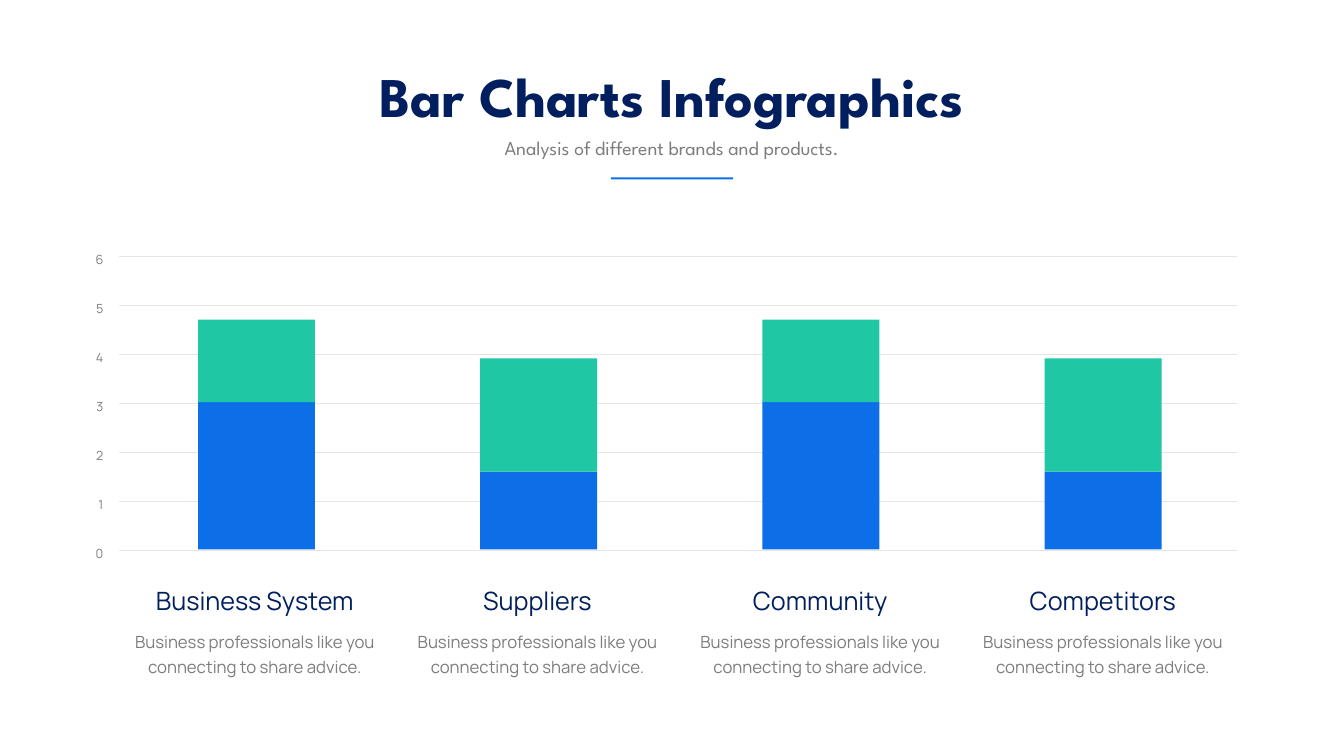
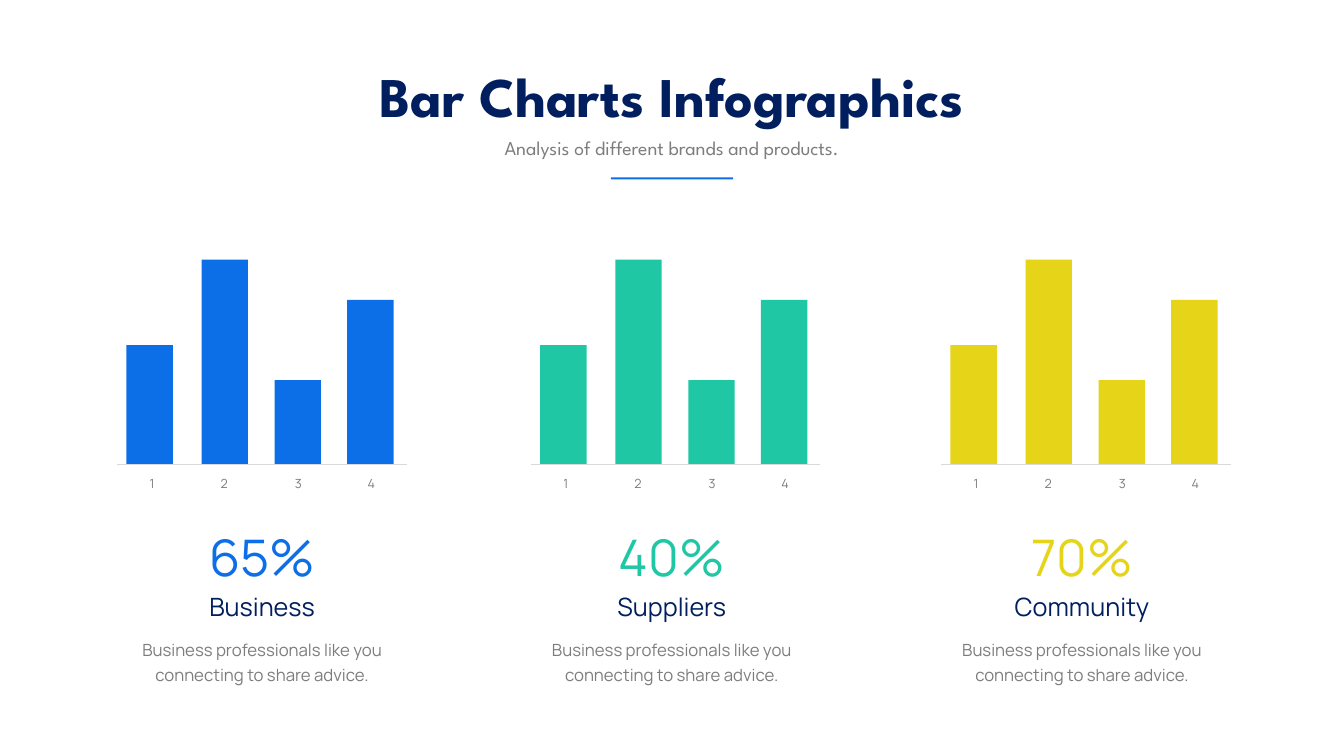
import pptx
import pptx.dml.color
import pptx.enum.shapes
import pptx.enum.text
import pptx.oxml.ns
import pptx.util
from lxml import etree
from pptx.util import Inches

COLORS = {
    "navy": "011F5E",
    "gray": "7E7C7F",
    "blue": "0D6FE8",
    "green": "1FC7A4",
    "yellow": "E5D418",
    "grid": "E5E5E5",
    "axis": "D9D9D9",
    "white": "FFFFFF",
}
TITLE_FONT = "League Spartan"
BODY_FONT = "Manrope"
ADVICE = "Business professionals like you connecting to share advice."


def rgb(color):
    """Return the named palette colour."""
    return pptx.dml.color.RGBColor.from_string(COLORS[color])


def add_text(slide, text, box, size, color="gray", font=BODY_FONT, bold=False,
             align="CENTER", leading=None, wrap=True):
    """Write one paragraph in a box given as left, top, width, height in inches."""
    frame = slide.shapes.add_textbox(*map(Inches, box)).text_frame
    frame.word_wrap = wrap
    frame.auto_size = pptx.enum.text.MSO_AUTO_SIZE.SHAPE_TO_FIT_TEXT
    paragraph = frame.paragraphs[0]
    paragraph.alignment = getattr(pptx.enum.text.PP_ALIGN, align)
    if leading:
        paragraph.line_spacing = pptx.util.Pt(leading)
    run = paragraph.add_run()
    run.text = text
    run.font.size = pptx.util.Pt(size)
    run.font.name = font
    run.font.bold = bold
    run.font.color.rgb = rgb(color)


def add_bar(slide, box, color):
    """Draw a plain filled rectangle."""
    bar = slide.shapes.add_shape(pptx.enum.shapes.MSO_SHAPE.RECTANGLE, *map(Inches, box))
    bar.shadow.inherit = False
    bar.fill.solid()
    bar.fill.fore_color.rgb = rgb(color)
    bar.line.fill.background()


def add_rule(slide, left, top, width, color, weight):
    """Draw a horizontal line."""
    rule = slide.shapes.add_connector(
        pptx.enum.shapes.MSO_CONNECTOR.STRAIGHT,
        Inches(left), Inches(top), Inches(left + width), Inches(top))
    rule.line.color.rgb = rgb(color)
    rule.line.width = pptx.util.Pt(weight)
    etree.SubElement(rule._element.spPr, pptx.oxml.ns.qn("a:effectLst"))


def add_header(slide, left=6.92, top=1.17, width=12.82):
    """Place the title, subtitle and accent bar shared by the slides."""
    center = left + width / 2
    add_text(slide, "Bar Charts Infographics", (left, top, width, 1.45), 80,
             color="navy", font=TITLE_FONT, bold=True, wrap=False)
    add_text(slide, "Analysis of different brands and products.",
             (center - 4.78, top + 1.48, 9.56, 0.57), 28, font=TITLE_FONT)
    add_bar(slide, (center - 1.21, top + 2.35, 2.43, 0.04), "blue")


def add_scale(slide, left, top, width, steps=6, gap=0.97):
    """Draw the gridlines with their numbers, highest first."""
    for row in range(steps + 1):
        add_rule(slide, left, top + row * gap, width, "grid", 0.5)
        add_text(slide, str(steps - row), (left - 1.33, top - 0.33 + row * gap, 1.12, 0.56),
                 18, align="RIGHT", leading=35.6)


def add_stack(slide, left, base, heights, width=2.32):
    """Stack a blue and a green bar upwards from the base."""
    for height, color in zip(heights, ("blue", "green")):
        base -= height
        add_bar(slide, (left, base, width, height), color)


def add_caption(slide, name, left, top, width, name_width, advice_top, leading):
    """Write a category name with its description below."""
    add_text(slide, name, (left + (width - name_width) / 2, top, name_width, 0.71),
             36, color="navy")
    add_text(slide, ADVICE, (left, top + advice_top, width, 1.1), 24, leading=leading)


def add_mini_chart(slide, left, top, color, width=5.74, height=4.06):
    """Draw four numbered bars standing on an axis."""
    bars = ((0.18, 2.36, 0.35), (1.67, 4.06, 1.78), (3.12, 1.67, 3.25), (4.56, 3.26, 4.7))
    base = top + height
    for number, (offset, bar_height, label_offset) in enumerate(bars, 1):
        add_bar(slide, (left + offset, base - bar_height, 0.92, bar_height), color)
        add_text(slide, str(number), (left + label_offset, base - 0.02, 0.68, 0.42),
                 18, leading=35.6)
    add_rule(slide, left, base, width, "axis", 1)


def add_share(slide, share, name, color, left, top, width=5.74):
    """Write a percentage above its caption."""
    add_text(slide, share, (left + (width - 2.51) / 2, top, 2.51, 1.31), 72, color=color)
    add_caption(slide, name, left, top + 1.31, width, 3.99, 0.84, 36.6)


def new_slide(deck):
    """Add a white slide with the shared header."""
    slide = deck.slides.add_slide(deck.slide_layouts[6])
    slide.background.fill.solid()
    slide.background.fill.fore_color.rgb = rgb("white")
    add_header(slide)
    return slide


def build_stacked_slide(deck):
    """Build the slide with four stacked bars."""
    slide = new_slide(deck)
    add_scale(slide, 2.36, 5.09, 22.18)
    tall, short = (2.92, 1.64), (1.54, 2.25)
    categories = (("Business System", 4.89, tall), ("Suppliers", 4.2, short),
                  ("Community", 4.2, tall), ("Competitors", 4.2, short))
    for column, (name, name_width, heights) in enumerate(categories):
        add_stack(slide, 3.93 + column * 5.6, 10.9, heights)
        add_caption(slide, name, 2.38 + column * 5.61, 11.56, 5.35, name_width, 0.83, 35.6)


def build_shares_slide(deck):
    """Build the slide with three small bar charts and percentages."""
    slide = new_slide(deck)
    groups = (("65%", "Business", "blue", 2.33, 2.33),
              ("40%", "Suppliers", "green", 10.54, 10.46),
              ("70%", "Community", "yellow", 18.68, 18.6))
    for share, name, color, chart_left, text_left in groups:
        add_mini_chart(slide, chart_left, 5.15, color)
        add_share(slide, share, name, color, text_left, 10.38)


def main():
    """Create and save the presentation."""
    deck = pptx.Presentation()
    deck.slide_width = Inches(26.67)
    deck.slide_height = Inches(15)
    build_stacked_slide(deck)
    build_shares_slide(deck)
    deck.save("out.pptx")


if __name__ == "__main__":
    main()
